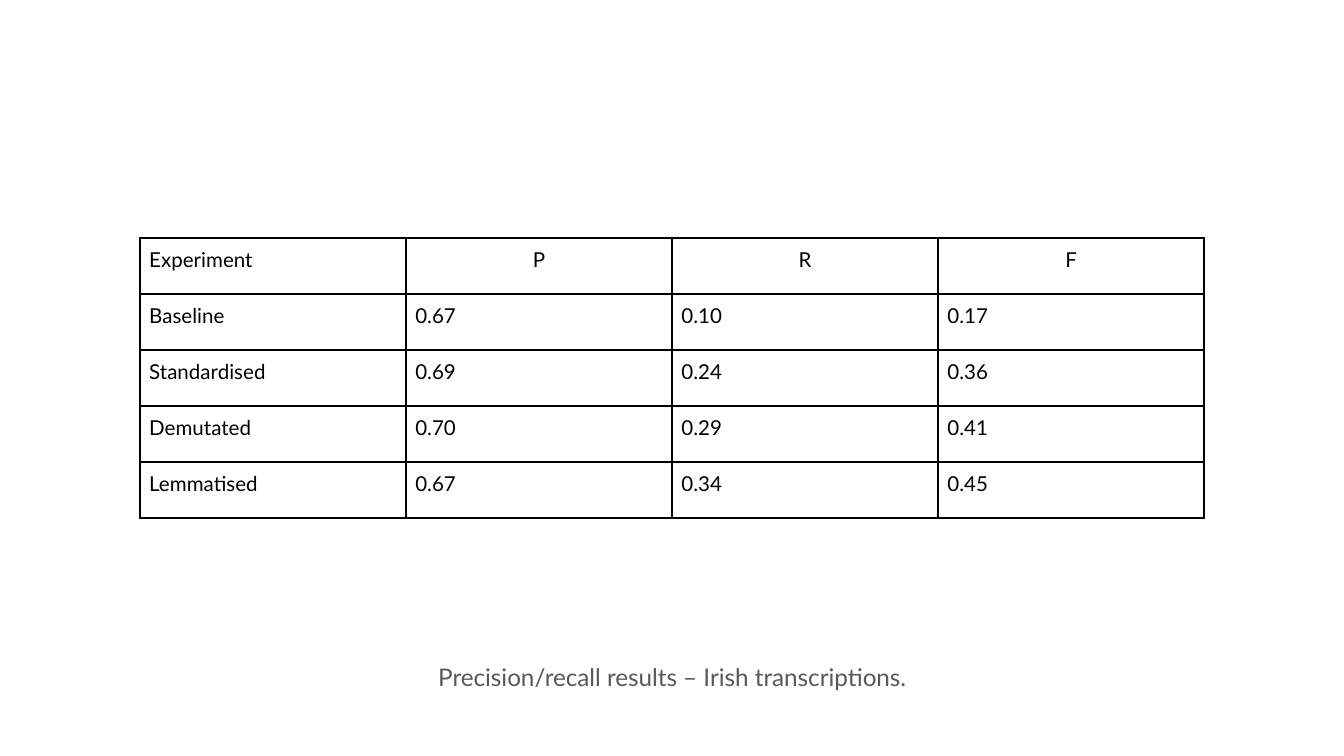
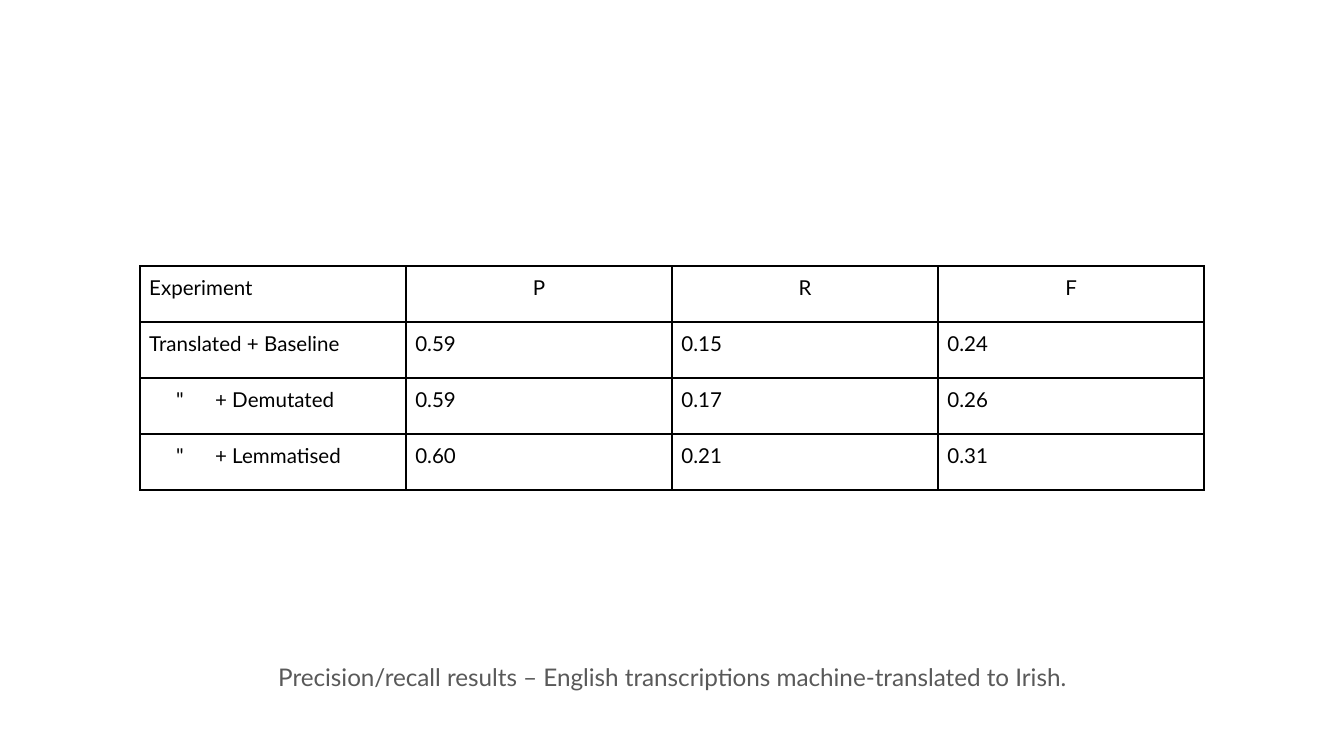
import pptx
import pptx.util
import pptx.dml.color
import pptx.enum.text
import pptx.oxml.ns
from lxml import etree

Inches, Pt = pptx.util.Inches, pptx.util.Pt
ALIGN = pptx.enum.text.PP_ALIGN
ANCHOR = pptx.enum.text.MSO_ANCHOR
qn = pptx.oxml.ns.qn

HEADER = ("Experiment", "P", "R", "F")
SLIDES = [
    ("Precision/recall results – Irish transcriptions.", [
        ("Baseline", "0.67", "0.10", "0.17"),
        ("Standardised", "0.69", "0.24", "0.36"),
        ("Demutated", "0.70", "0.29", "0.41"),
        ("Lemmatised", "0.67", "0.34", "0.45"),
    ]),
    ("Precision/recall results – English transcriptions machine-translated to Irish.", [
        ("Translated + Baseline", "0.59", "0.15", "0.24"),
        ('\t"\t+ Demutated', "0.59", "0.17", "0.26"),
        ('\t"\t+ Lemmatised', "0.60", "0.21", "0.31"),
    ]),
]

FONT = "Lato"
BLACK, GREY, WHITE = "000000", "595959", "FFFFFF"
SLIDE_W = Inches(10)
SLIDE_H = SLIDE_W * 9 // 16
TABLE_LEFT, COL_W, ROW_H = Inches(1.04), Inches(1.98), Pt(30)
CELL_INSET, CAPTION_INSET = 0.07, 0.1
DITTO_TABS = (0.2, 0.49)
CAPTION_BOX = (0.79, 4.78, 8.42, 0.51)


def rgb(color):
    return pptx.dml.color.RGBColor.from_string(color)


def set_insets(target, inset):
    target.margin_left = target.margin_right = Inches(inset)
    target.margin_top = target.margin_bottom = Inches(inset)


def write(p, text, size, color, align):
    p.alignment = align
    p.space_before = Pt(0)
    r = p.add_run()
    r.text = text
    r.font.name = FONT
    r.font.size = Pt(size)
    r.font.color.rgb = rgb(color)


def add_tabs(p, stops):
    tabs = etree.SubElement(p._p.get_or_add_pPr(), qn("a:tabLst"))
    for stop in stops:
        etree.SubElement(tabs, qn("a:tab"), pos=str(Inches(stop)), algn="l")


def add_borders(cell):
    tcPr = cell._tc.get_or_add_tcPr()
    for i, side in enumerate(("lnL", "lnR", "lnT", "lnB")):
        ln = etree.Element(qn("a:" + side), w=str(Pt(1)))
        fill = etree.SubElement(ln, qn("a:solidFill"))
        etree.SubElement(fill, qn("a:srgbClr"), val=BLACK)
        tcPr.insert(i, ln)


def add_caption(s, text):
    for ph in list(s.placeholders):
        if ph.placeholder_format.idx != 2:
            ph.element.getparent().remove(ph.element)
    sp = s.placeholders[2]
    sp.left, sp.top, sp.width, sp.height = map(Inches, CAPTION_BOX)
    tf = sp.text_frame
    tf.word_wrap = True
    tf.vertical_anchor = ANCHOR.MIDDLE
    set_insets(tf, CAPTION_INSET)
    write(tf.paragraphs[0], text, 13, GREY, ALIGN.CENTER)


def add_results(s, rows):
    width, height = COL_W * len(HEADER), ROW_H * len(rows)
    table = s.shapes.add_table(len(rows), len(HEADER), TABLE_LEFT,
                               (SLIDE_H - height) // 2, width, height).table
    table.first_row = table.horz_banding = False
    for i, row in enumerate(rows):
        for j, text in enumerate(row):
            cell = table.cell(i, j)
            cell.fill.background()
            set_insets(cell, CELL_INSET)
            add_borders(cell)
            p = cell.text_frame.paragraphs[0]
            centred = i == 0 and j > 0
            write(p, text, 11, BLACK, ALIGN.CENTER if centred else ALIGN.LEFT)
            if "\t" in text:
                add_tabs(p, DITTO_TABS)


def main():
    prs = pptx.Presentation()
    prs.slide_width, prs.slide_height = SLIDE_W, SLIDE_H
    layout = prs.slide_layouts.get_by_name("Content with Caption")
    for caption, rows in SLIDES:
        s = prs.slides.add_slide(layout)
        s.background.fill.solid()
        s.background.fill.fore_color.rgb = rgb(WHITE)
        add_caption(s, caption)
        add_results(s, [HEADER] + rows)
    prs.save("out.pptx")


if __name__ == "__main__":
    main()
